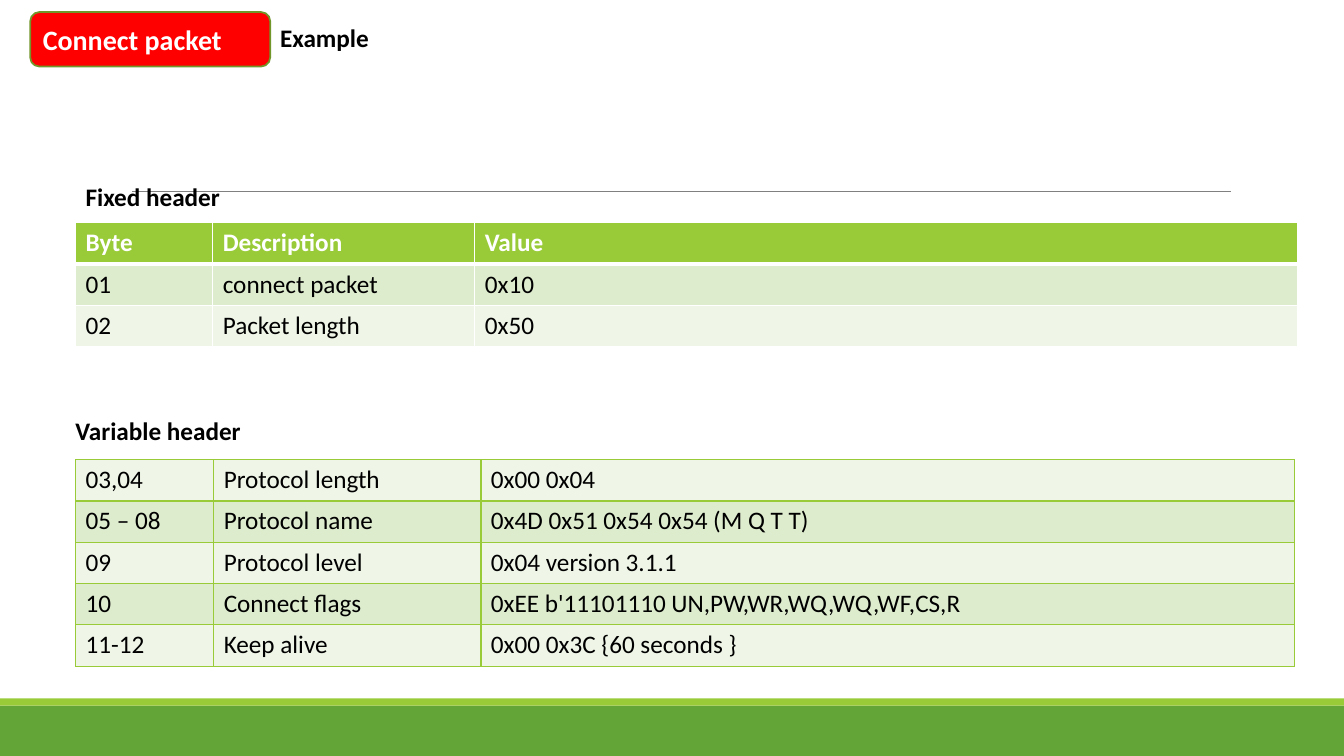
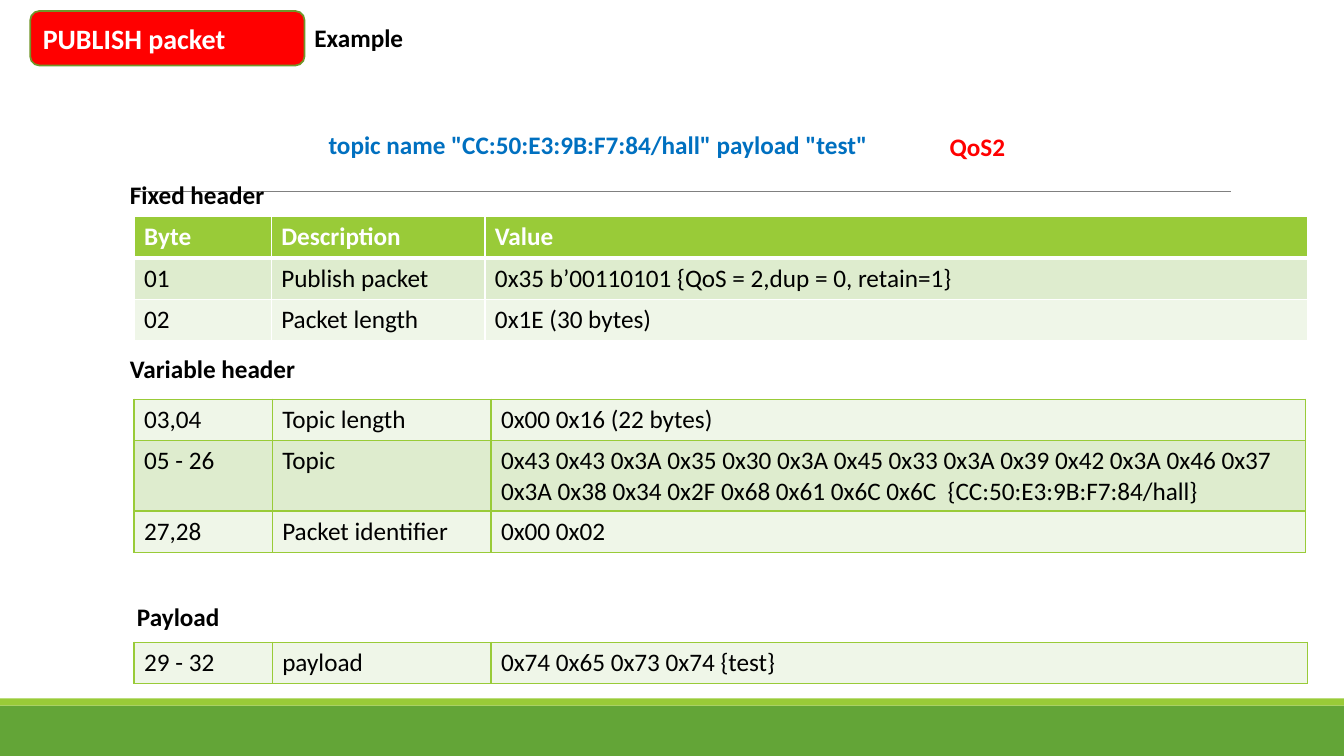
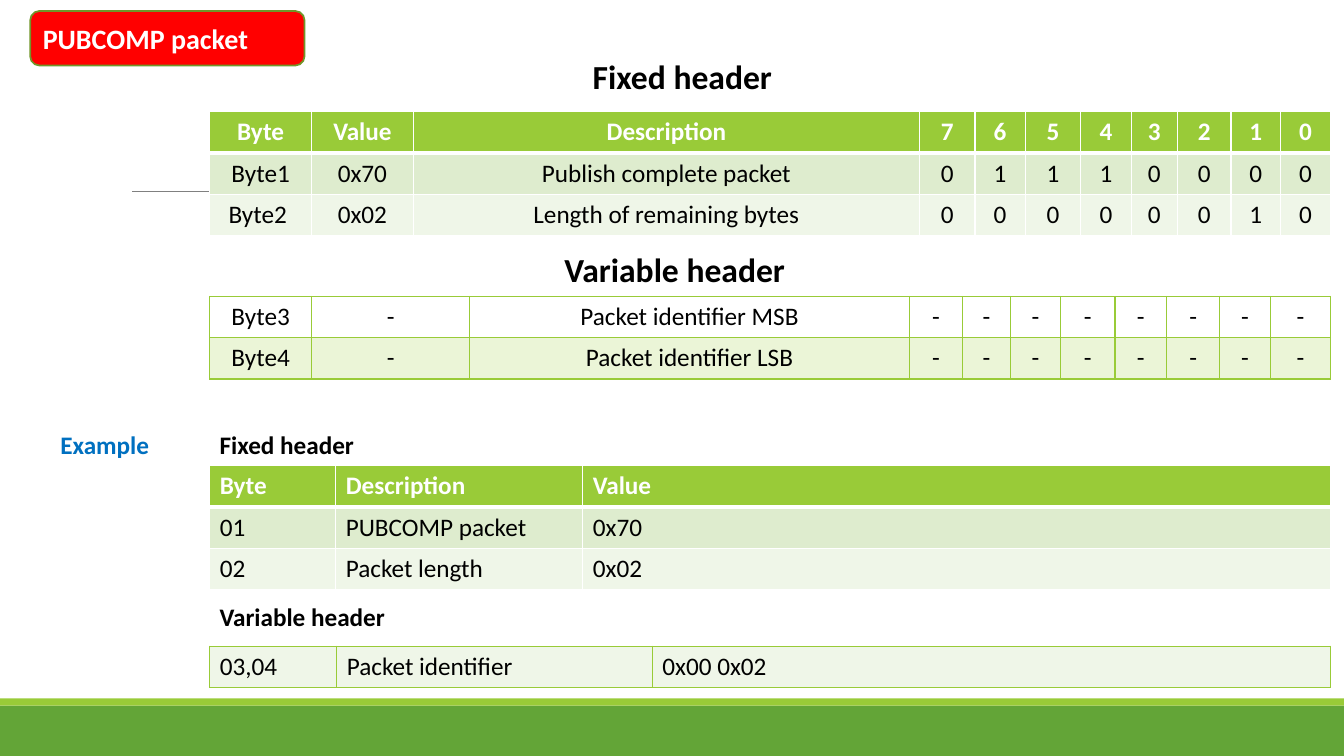
from lxml.etree import SubElement
from pptx import Presentation
from pptx.dml.color import RGBColor
from pptx.enum.shapes import MSO_CONNECTOR, MSO_SHAPE
from pptx.enum.text import MSO_ANCHOR, PP_ALIGN
from pptx.oxml.ns import qn
from pptx.util import Inches, Pt

FONT = "Calibri"
WHITE, BLACK, RED, BLUE = "FFFFFF", "000000", "FF0000", "0070C0"
LIME, GREEN, OLIVE, GREY = "99CB38", "63A537", "719629", "808080"
PALE, SOFT, TINT = "EFF6E8", "DEECCE", "EBF5D7"
WIDTH, HEIGHT, ROW = 13.33, 7.5, 0.41
HEADINGS = ["Byte", "Description", "Value"]


def color(value):
    """Turn a hex string into a colour."""
    return RGBColor.from_string(value)


def style(para, size, tone, bold, align=PP_ALIGN.LEFT):
    """Set the font and alignment of a paragraph."""
    para.alignment = align
    font = para.font
    font.name, font.size, font.bold = FONT, Pt(size), bold
    font.color.rgb = color(tone)


def panel(page, preset, box, fill, line=None):
    """Draw a filled preset shape."""
    shape = page.shapes.add_shape(preset, *map(Inches, box))
    shape.shadow.inherit = False
    shape.fill.solid()
    shape.fill.fore_color.rgb = color(fill)
    if line:
        shape.line.color.rgb = color(line)
        shape.line.width = Pt(1.25)
    else:
        shape.line.fill.background()
    return shape


def label(page, left, top, width, text, tone=BLACK, size=18):
    """Write a bold one-line heading."""
    height = 0.4 if size == 18 else 0.5
    box = page.shapes.add_textbox(*map(Inches, (left, top, width, height)))
    box.text_frame.word_wrap = True
    para = box.text_frame.paragraphs[0]
    para.text = text
    style(para, size, tone, True)


def badge(page, top, width, text):
    """Draw the red packet name in the top left corner."""
    shape = panel(page, MSO_SHAPE.ROUNDED_RECTANGLE, (0.3, top, width, 0.54), RED, OLIVE)
    frame = shape.text_frame
    frame.vertical_anchor = MSO_ANCHOR.MIDDLE
    frame.word_wrap = True
    frame.paragraphs[0].text = text
    style(frame.paragraphs[0], 20, WHITE, True)


def new_page(deck):
    """Add a slide with the green bands and the title rule."""
    page = deck.slides.add_slide(deck.slide_layouts[6])
    panel(page, MSO_SHAPE.RECTANGLE, (0, 7, WIDTH, 0.5), GREEN)
    panel(page, MSO_SHAPE.RECTANGLE, (0, 6.93, WIDTH, 0.07), LIME)
    rule = page.shapes.add_connector(
        MSO_CONNECTOR.STRAIGHT, *map(Inches, (1.31, 1.9, 12.21, 1.9)))
    rule.line.color.rgb = color(GREY)
    rule.line.width = Pt(0.5)
    SubElement(rule._element.spPr, qn("a:effectLst"))
    return page


def borders(cell, tone, top=1, bottom=1):
    """Set the four edges of a cell."""
    properties = cell._tc.get_or_add_tcPr()
    for side, weight in (("L", 1), ("R", 1), ("T", top), ("B", bottom)):
        edge = SubElement(properties, qn(f"a:ln{side}"), w=str(Pt(weight)))
        fill = SubElement(edge, qn("a:solidFill"))
        SubElement(fill, qn("a:srgbClr"), val=tone)


def grid(page, left, top, columns, rows, header=False, fills=(PALE, SOFT),
         align=PP_ALIGN.LEFT, heights=None):
    """Draw a banded table, with a green first row if it has a header."""
    heights = heights or [ROW] * len(rows)
    frame = page.shapes.add_table(
        len(rows), len(columns),
        *map(Inches, (left, top, sum(columns), sum(heights))))
    table = frame.table
    table.first_row = table.horz_banding = False
    for column, width in zip(table.columns, columns):
        column.width = Inches(width)
    for index, (row, height, texts) in enumerate(zip(table.rows, heights, rows)):
        row.height = Inches(height)
        heading = header and index == 0
        fill = LIME if heading else fills[index % 2]
        for cell, text in zip(row.cells, texts):
            borders(cell, WHITE if header else LIME,
                    top=3 if header and index == 1 else 1,
                    bottom=3 if heading else 1)
            cell.fill.solid()
            cell.fill.fore_color.rgb = color(fill)
            para = cell.text_frame.paragraphs[0]
            para.text = text
            style(para, 18, WHITE if heading else BLACK, heading, align)


def connect_page(deck):
    """Build the example of a connect packet."""
    page = new_page(deck)
    badge(page, 0.12, 2.38, "Connect packet")
    label(page, 2.68, 0.17, 1.27, "Example")
    grid(page, 0.75, 2.21, [1.36, 2.6, 8.16], [
        HEADINGS,
        ["01", "connect packet", "0x10"],
        ["02", "Packet length", "0x50"],
    ], header=True)
    grid(page, 0.75, 4.56, [1.37, 2.65, 8.07], [
        ["03,04", "Protocol length", "0x00 0x04"],
        ["05 – 08", "Protocol name", "0x4D 0x51 0x54 0x54 (M Q T T)"],
        ["09", "Protocol level", "0x04 version 3.1.1"],
        ["10", "Connect flags", "0xEE b'11101110 UN,PW,WR,WQ,WQ,WF,CS,R"],
        ["11-12", "Keep alive", "0x00 0x3C {60 seconds }"],
    ])
    label(page, 0.75, 1.75, 1.81, "Fixed header")
    label(page, 0.65, 4.07, 2.2, "Variable header")


def publish_page(deck):
    """Build the example of a publish packet."""
    page = new_page(deck)
    badge(page, 0.11, 2.72, "PUBLISH packet")
    label(page, 3.02, 0.17, 1.27, "Example")
    label(page, 3.16, 1.23, 6.32,
          'topic name "CC:50:E3:9B:F7:84/hall" payload "test"', BLUE)
    label(page, 9.32, 1.25, 0.85, "QoS2", RED)
    label(page, 1.19, 1.73, 1.81, "Fixed header")
    grid(page, 1.33, 2.15, [1.36, 2.12, 8.16], [
        HEADINGS,
        ["01", "Publish packet", "0x35 b’00110101 {QoS = 2,dup = 0, retain=1}"],
        ["02", "Packet length", "0x1E (30 bytes)"],
    ], header=True)
    label(page, 1.19, 3.46, 2.2, "Variable header")
    grid(page, 1.33, 3.96, [1.37, 2.17, 8.08], [
        ["03,04", "Topic length", "0x00 0x16 (22 bytes)"],
        ["05 - 26", "Topic",
         "0x43 0x43 0x3A 0x35 0x30 0x3A 0x45 0x33 0x3A 0x39 0x42 0x3A 0x46 0x37 "
         "0x3A 0x38 0x34 0x2F 0x68 0x61 0x6C 0x6C  {CC:50:E3:9B:F7:84/hall}"],
        ["27,28", "Packet identifier", "0x00 0x02"],
    ], heights=[ROW, 0.7, ROW])
    label(page, 1.26, 5.92, 1.21, "Payload")
    grid(page, 1.33, 6.37, [1.37, 2.17, 8.1],
         [["29 - 32", "payload", "0x74 0x65 0x73 0x74 {test}"]])


def complete_page(deck):
    """Build the layout and example of a publish complete packet."""
    page = new_page(deck)
    left = 2.08
    badge(page, 0.11, 2.72, "PUBCOMP packet")
    label(page, 5.78, 0.51, 2.35, "Fixed header", size=24)
    grid(page, left, 1.11,
         [1.01, 1.01, 5.02, 0.55, 0.5, 0.55, 0.5, 0.46, 0.53, 0.49, 0.5], [
             ["Byte", "Value", "Description", *"76543210"],
             ["Byte1", "0x70", "Publish complete packet", *"01110000"],
             ["Byte2 ", "0x02", "Length of remaining bytes", *"00000010"],
         ], header=True, align=PP_ALIGN.CENTER)
    label(page, 5.5, 2.42, 2.87, "Variable header", size=24)
    grid(page, left, 2.94,
         [1.01, 1.57, 4.36, 0.53, 0.47, 0.5, 0.54, 0.51, 0.53, 0.5, 0.6], [
             ["Byte3", "-", "Packet identifier MSB", *"-" * 8],
             ["Byte4", "-", "Packet identifier LSB", *"-" * 8],
         ], fills=(WHITE, TINT), align=PP_ALIGN.CENTER)
    label(page, 0.5, 4.21, 1.27, "Example", BLUE)
    label(page, left, 4.21, 2.25, "Fixed header")
    grid(page, left, 4.62, [1.25, 2.45, 7.42], [
        HEADINGS,
        ["01", "PUBCOMP packet", "0x70"],
        ["02", "Packet length", "0x02"],
    ], header=True)
    label(page, left, 5.92, 2.44, "Variable header")
    grid(page, left, 6.41, [1.26, 3.13, 6.73],
         [["03,04", "Packet identifier", "0x00 0x02"]])


def main():
    """Build and save the deck."""
    deck = Presentation()
    deck.slide_width, deck.slide_height = Inches(WIDTH), Inches(HEIGHT)
    connect_page(deck)
    publish_page(deck)
    complete_page(deck)
    deck.save("out.pptx")


if __name__ == "__main__":
    main()
